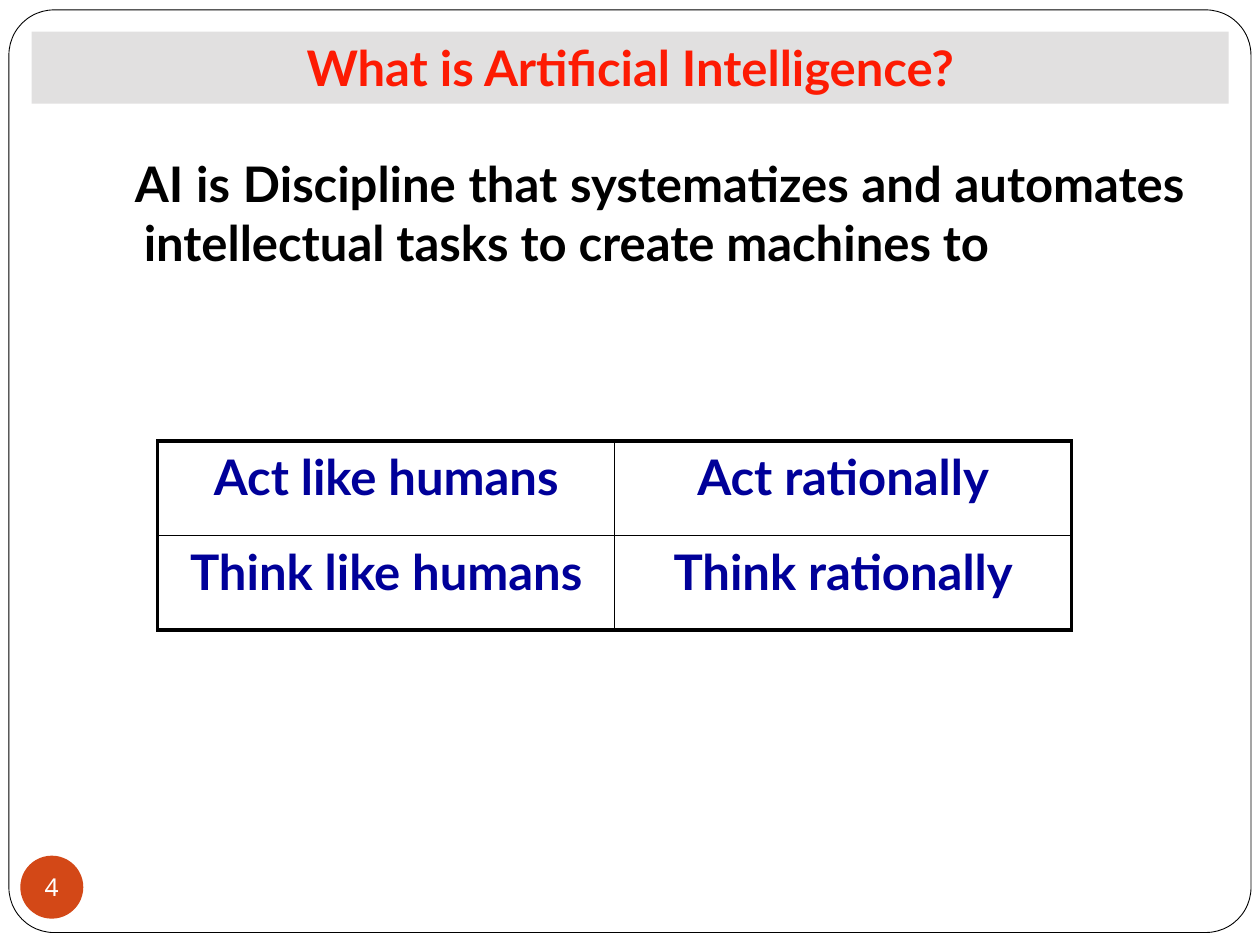
from lxml.etree import SubElement
from pptx import Presentation
from pptx.dml.color import RGBColor
from pptx.enum.shapes import MSO_SHAPE as Preset
from pptx.enum.text import MSO_ANCHOR as Anchor, PP_ALIGN as Align
from pptx.oxml.ns import qn
from pptx.util import Cm, Pt

COLORS = {
    "paper": "FFFFFF",
    "ink": "000000",
    "badge": "D34817",
    "banner": "E1E0E0",
    "title": "FD1B03",
    "navy": "000099",
}


def write(frame, text, color="ink", size=28, font="Lato", bold=True,
          align=Align.CENTER, before=0):
    paragraph = frame.paragraphs[0]
    paragraph.alignment = align
    paragraph.space_before = Pt(before)
    run = paragraph.add_run()
    run.text = text
    run.font.name = font
    run.font.size = Pt(size)
    run.font.bold = bold
    run.font.color.rgb = RGBColor.from_string(COLORS[color])
    return paragraph


class SlideBuilder:
    """Draws styled elements on the current slide."""

    def __init__(self, slide):
        self.slide = slide

    def shape(self, preset, box, fill, line=None):
        shape = self.slide.shapes.add_shape(preset, *map(Cm, box))
        shape.shadow.inherit = False
        shape.fill.solid()
        shape.fill.fore_color.rgb = RGBColor.from_string(COLORS[fill])
        if line:
            shape.line.color.rgb = RGBColor.from_string(COLORS[line])
            shape.line.width = Pt(0.5)
        else:
            shape.line.fill.background()
        return shape

    def text(self, box, text, left, first, **style):
        frame = self.slide.shapes.add_textbox(*map(Cm, box)).text_frame
        frame.word_wrap = True
        properties = write(frame, text, **style)._p.get_or_add_pPr()
        properties.set("marL", str(Cm(left)))
        properties.set("indent", str(Cm(first)))

    def borders(self, cell, widths):
        properties = cell._tc.get_or_add_tcPr()
        for position, (side, width) in enumerate(widths.items()):
            line = properties.makeelement(qn(f"a:ln{side}"), {"w": str(Pt(width))})
            fill = SubElement(line, qn("a:solidFill"))
            SubElement(fill, qn("a:srgbClr"), val=COLORS["ink"])
            properties.insert(position, line)

    def table(self, box, rows, outer=2.25, inner=1, **style):
        last_row, last_column = len(rows) - 1, len(rows[0]) - 1
        table = self.slide.shapes.add_table(
            len(rows), len(rows[0]), *map(Cm, box)).table
        table.first_row = table.horz_banding = False
        for r, row in enumerate(rows):
            for c, label in enumerate(row):
                cell = table.cell(r, c)
                cell.fill.background()
                write(cell.text_frame, label, **style)
                edges = {"L": c == 0, "R": c == last_column,
                         "T": r == 0, "B": r == last_row}
                self.borders(cell, {side: outer if edge else inner
                                    for side, edge in edges.items()})


def main():
    deck = Presentation()
    deck.slide_width, deck.slide_height = Cm(25.4), Cm(19.05)
    builder = SlideBuilder(deck.slides.add_slide(deck.slide_layouts[6]))

    border = builder.shape(Preset.ROUNDED_RECTANGLE, (0.18, 0.2, 25.04, 18.6),
                           "paper", line="ink")
    border.adjustments[0] = 0.049

    page = builder.shape(Preset.OVAL, (0.41, 17.25, 1.27, 1.27), "badge").text_frame
    page.margin_left = page.margin_right = page.margin_top = page.margin_bottom = 0
    page.word_wrap = False
    page.vertical_anchor = Anchor.MIDDLE
    write(page, "4", color="paper", size=14, font="Noto Sans", bold=False)

    title = builder.shape(Preset.RECTANGLE, (0.64, 0.64, 24.13, 1.45), "banner")
    title.text_frame.vertical_anchor = Anchor.TOP
    write(title.text_frame, "What is Artificial Intelligence?", color="title")

    builder.text(
        (1.7, 2.97, 22.43, 2.97),
        "AI is Discipline that systematizes and automates "
        "intellectual tasks to create machines to",
        left=0.95, first=-0.18, align=Align.JUSTIFY, before=5.6)

    builder.table(
        (3.18, 8.89, 18.42, 3.81),
        [["Act like humans", "Act rationally"],
         ["Think like humans", "Think rationally"]],
        color="navy", before=5.6)

    deck.save("out.pptx")


if __name__ == "__main__":
    main()
